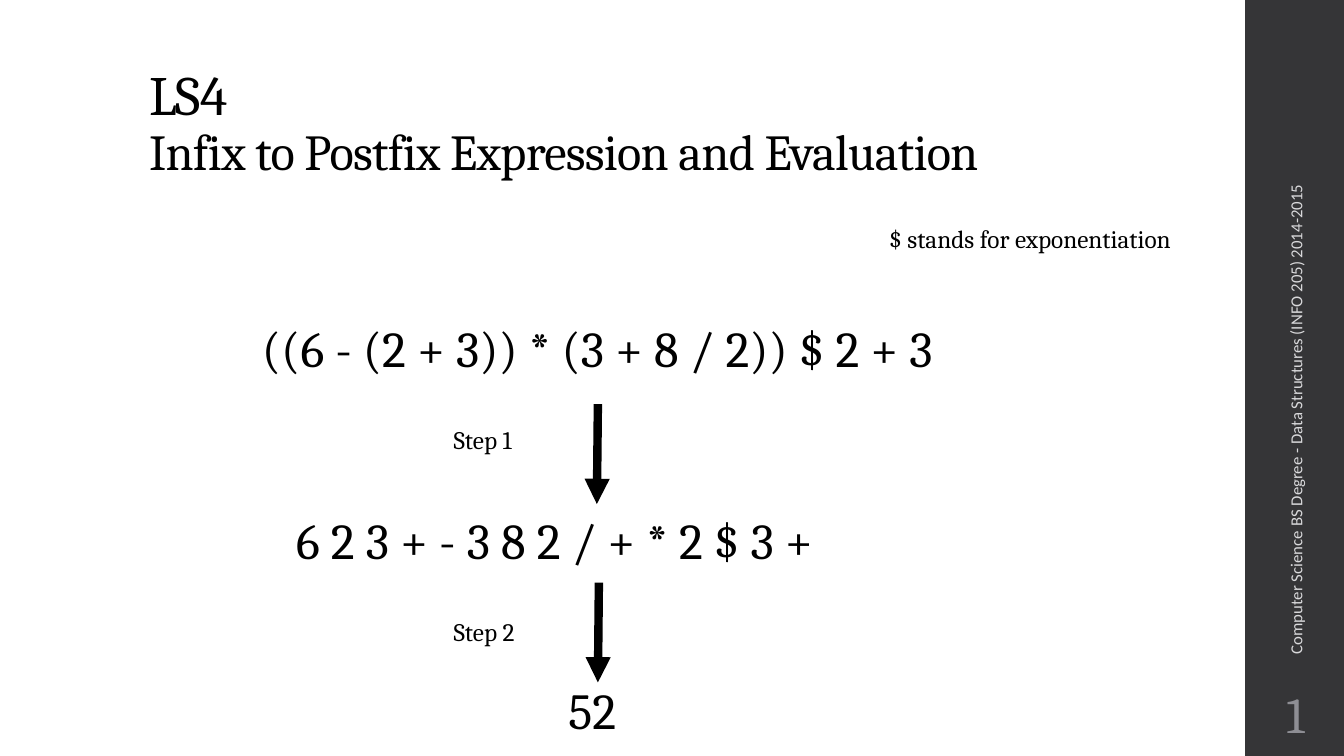
from lxml import etree
from pptx import Presentation
from pptx.dml.color import RGBColor
from pptx.enum.shapes import MSO_CONNECTOR, MSO_SHAPE
from pptx.enum.text import MSO_ANCHOR, MSO_AUTO_SIZE, PP_ALIGN
from pptx.oxml.ns import qn
from pptx.util import Inches, Pt

STRAIGHT = MSO_CONNECTOR.STRAIGHT
RECTANGLE = MSO_SHAPE.RECTANGLE
BOTTOM, MIDDLE = MSO_ANCHOR.BOTTOM, MSO_ANCHOR.MIDDLE
FIT_SHAPE = MSO_AUTO_SIZE.SHAPE_TO_FIT_TEXT
CENTER = PP_ALIGN.CENTER


def color(hex_string):
    return RGBColor.from_string(hex_string)


def add_run(p, text, size, font="Cambria", rgb="000000"):
    r = p.add_run()
    r.text = text
    r.font.size = Pt(size)
    r.font.name = font
    r.font.color.rgb = color(rgb)
    return r


prs = Presentation()
prs.slide_width, prs.slide_height = Inches(13.33), Inches(7.5)
s = prs.slides.add_slide(prs.slide_layouts[6])

# Dark side bar
sp = s.shapes.add_shape(RECTANGLE, Inches(12.35), 0, Inches(1), Inches(7.5))
sp.shadow.inherit = False
sp.fill.solid()
sp.fill.fore_color.rgb = color("353537")
sp.line.fill.background()

# Title
sp = s.shapes.add_textbox(Inches(1.38), Inches(0.4), Inches(10.6), Inches(1.45))
tf = sp.text_frame
tf.word_wrap = True
tf.vertical_anchor = BOTTOM
p = tf.paragraphs[0]
p.line_spacing = 0.9
title_runs = [add_run(p, "LS4", 39.6)]
p.add_line_break()
title_runs.append(add_run(p, "Infix to Postfix Expression and Evaluation", 36))
for r in title_runs:
    r.font._element.set("spc", "-50")

# Slide number
sp = s.shapes.add_textbox(Inches(12.35), Inches(6.75), Inches(1), Inches(0.65))
tf = sp.text_frame
tf.word_wrap = True
tf.vertical_anchor = MIDDLE
tf.margin_left = tf.margin_right = tf.margin_top = tf.margin_bottom = Inches(0.05)
p = tf.paragraphs[0]
p.alignment = CENTER
add_run(p, "1", 36, rgb="8E8E94")

# Course name, running up the side bar
sp = s.shapes.add_textbox(Inches(10.27), Inches(3.81), Inches(5.16), Inches(0.4))
sp.rotation = 270
tf = sp.text_frame
tf.word_wrap = True
tf.vertical_anchor = MIDDLE
add_run(tf.paragraphs[0],
        "Computer Science BS Degree - Data Structures (INFO 205) 2014-2015",
        12, "Calibri", "D9D9DB")

# Expressions, note and step labels: left, top, width, height, size, text
labels = [
    (2.5, 3.1, 7.52, 0.71, 36, "((6 - (2 + 3)) * (3 + 8 / 2)) $ 2 + 3"),
    (2.84, 5, 6.17, 0.71, 36, "6 2 3 + - 3 8 2 / + * 2 $ 3 +"),
    (5.54, 6.69, 0.76, 0.71, 36, "52"),
    (8.72, 2.17, 3.38, 0.4, 18, "$ stands for exponentiation"),
    (4.4, 4.16, 0.94, 0.4, 18, "Step 1"),
    (4.4, 6.07, 0.94, 0.4, 18, "Step 2"),
]
for left, top, width, height, size, text in labels:
    sp = s.shapes.add_textbox(Inches(left), Inches(top), Inches(width), Inches(height))
    tf = sp.text_frame
    tf.word_wrap = False
    tf.auto_size = FIT_SHAPE
    add_run(tf.paragraphs[0], text, size)

# Arrows between the expressions
for x, y in [(5.93, 4.01), (5.94, 5.78)]:
    arrow = s.shapes.add_connector(
        STRAIGHT, Inches(x), Inches(y), Inches(x - 0.01), Inches(y + 0.99))
    arrow.line.color.rgb = color("000000")
    arrow.line.width = Pt(6)
    etree.SubElement(arrow.line._get_or_add_ln(), qn("a:tailEnd"), type="triangle")
    etree.SubElement(arrow._element.spPr, qn("a:effectLst"))

prs.save("out.pptx")
